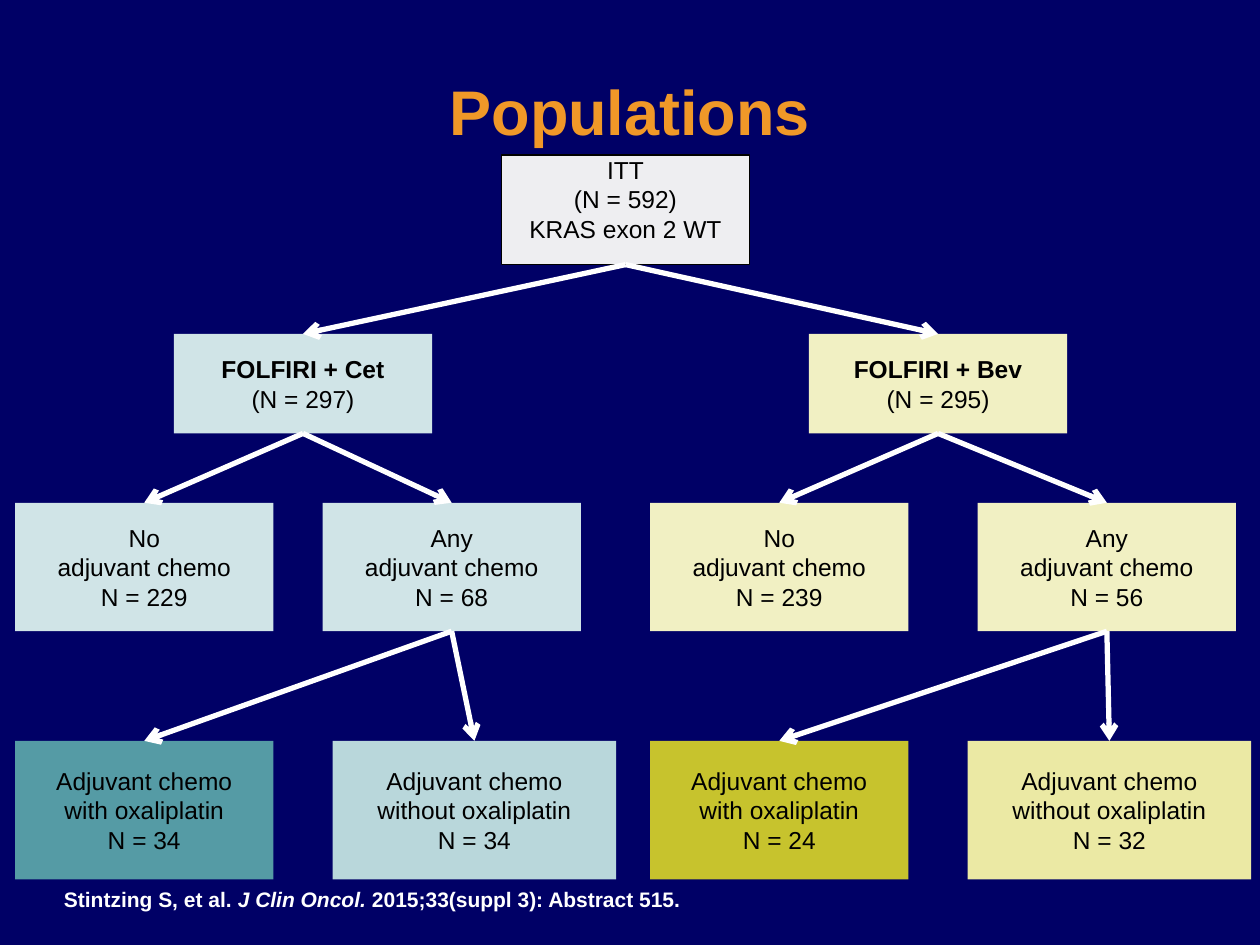
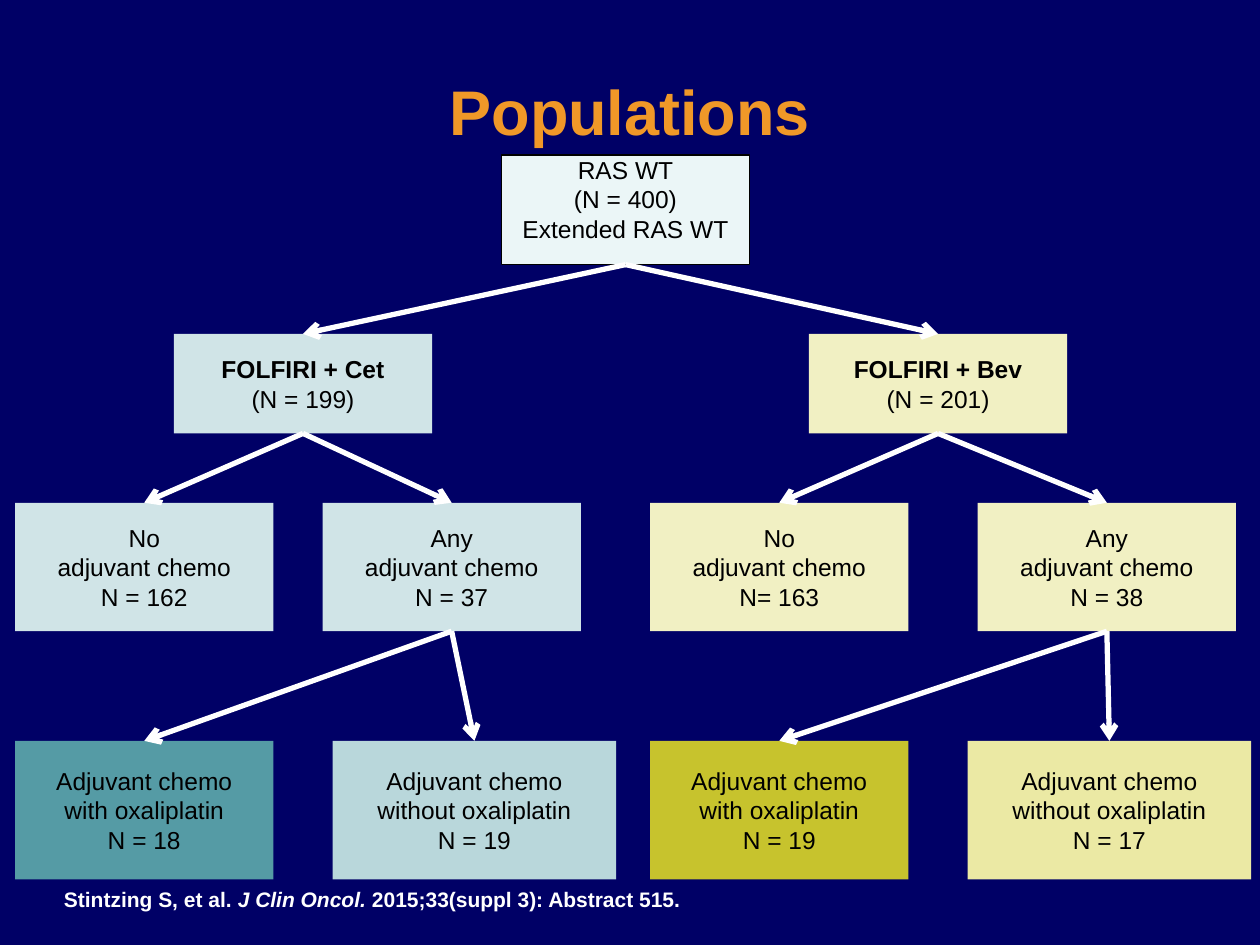
import pptx
import pptx.dml.color
import pptx.enum.shapes
import pptx.enum.text
import pptx.oxml
import pptx.oxml.ns
import pptx.util
from lxml import etree

Inches = pptx.util.Inches
Pt = pptx.util.Pt
ALIGN = pptx.enum.text.PP_ALIGN
ANCHOR = pptx.enum.text.MSO_ANCHOR
AUTO_SIZE = pptx.enum.text.MSO_AUTO_SIZE

COLORS = {
    "background": "000066",
    "title": "F09828",
    "white": "FFFFFF",
    "black": "000000",
    "itt": "EEEEF1",
    "ras": "EBF6F7",
}
ARM_COLORS = {
    "Cet": {"arm": "D0E4E7", "with": "559BA5", "without": "B9D7DB"},
    "Bev": {"arm": "F1F0C3", "with": "C7C32D", "without": "EBE9A4"},
}
FONTS = {
    "title": {"name": "Arial", "size": Pt(36), "bold": True},
    "node": {"name": "Arial", "size": Pt(14), "bold": False},
    "citation": {"name": "Arial", "size": Pt(12), "bold": True},
}
NODE_FRAME = {
    "margin_left": 0, "margin_right": 0, "margin_top": 0, "margin_bottom": 0,
    "word_wrap": False, "vertical_anchor": ANCHOR.MIDDLE,
}
TITLE_FRAME = {
    "vertical_anchor": ANCHOR.MIDDLE, "word_wrap": True,
    "auto_size": AUTO_SIZE.NONE,
}
CITATION_FRAME = {"word_wrap": True, "auto_size": AUTO_SIZE.SHAPE_TO_FIT_TEXT}
TITLE_BOX = (0.37, 0.29, 9.26, 1.25)
ROOT_BOX = (3.98, 1.23, 1.97, 0.87)
CITATION_BOX = (0.41, 6.99, 6.46, 0.3)
BRANCH_TOP = 2.65
BRANCHES = {"Cet": {"left": 0.12, "any_offset": 2.44},
            "Bev": {"left": 5.16, "any_offset": 2.6}}
CITATION = [("Stintzing S, et al. ", False), ("J Clin Oncol. ", True),
            ("2015;33(suppl 3): Abstract 515.", False)]
TITLE_SHADOW = (
    '<a:effectLst %s><a:outerShdw dist="38100" dir="2700000" algn="tl">'
    '<a:srgbClr val="%s"/></a:outerShdw></a:effectLst>'
    % (pptx.oxml.ns.nsdecls("a"), COLORS["black"])
)

POPULATIONS = [
    {
        "root": ["ITT", "(N = 592)", "KRAS exon 2 WT"],
        "root_color": "itt",
        "Cet": ["(N = 297)", "N = 229", "N = 68", "N = 34", "N = 34"],
        "Bev": ["(N = 295)", "N = 239", "N = 56", "N = 24", "N = 32"],
    },
    {
        "root": ["RAS WT", "(N = 400)", "Extended RAS WT"],
        "root_color": "ras",
        "Cet": ["(N = 199)", "N = 162", "N = 37", "N = 18", "N = 19"],
        "Bev": ["(N = 201)", "N= 163", "N = 38", "N = 19", "N = 17"],
    },
]


def rgb(value):
    return pptx.dml.color.RGBColor.from_string(value)


def inches(box):
    return [Inches(length) for length in box]


def set_attributes(target, values):
    for name, value in values.items():
        setattr(target, name, value)


def set_font(font, style, color):
    set_attributes(font, FONTS[style])
    font.color.rgb = rgb(COLORS[color])


def add_title(slide, box):
    title = slide.shapes.title
    set_attributes(title, dict(zip(("left", "top", "width", "height"), inches(box))))
    set_attributes(title.text_frame, TITLE_FRAME)
    paragraph = title.text_frame.paragraphs[0]
    set_attributes(paragraph, {"alignment": ALIGN.CENTER, "line_spacing": 0.9})
    run = paragraph.add_run()
    run.text = "Populations"
    set_font(run.font, "title", "title")
    fill = run._r.rPr.find(pptx.oxml.ns.qn("a:solidFill"))
    fill.addnext(pptx.oxml.parse_xml(TITLE_SHADOW))


def add_node(slide, box, lines, fill, bold_first=False):
    node = slide.shapes.add_shape(
        pptx.enum.shapes.MSO_SHAPE.RECTANGLE, *inches(box))
    node.shadow.inherit = False
    node.fill.solid()
    node.fill.fore_color.rgb = rgb(fill)
    node.line.fill.background()
    frame = node.text_frame
    set_attributes(frame, NODE_FRAME)
    for index, line in enumerate(lines):
        paragraph = frame.add_paragraph() if index else frame.paragraphs[0]
        paragraph.alignment = ALIGN.CENTER
        run = paragraph.add_run()
        run.text = line
        set_font(run.font, "node", "black")
        run.font.bold = bold_first and index == 0
    return node


def add_arrow(slide, parent, child):
    arrow = slide.shapes.add_connector(
        pptx.enum.shapes.MSO_CONNECTOR.STRAIGHT, 0, 0, 0, 0)
    arrow.begin_connect(parent, 2)
    arrow.end_connect(child, 0)
    arrow.line.color.rgb = rgb(COLORS["white"])
    arrow.line.width = Pt(3)
    qn = pptx.oxml.ns.qn
    etree.SubElement(arrow.line._get_or_add_ln(), qn("a:tailEnd"), type="arrow")
    etree.SubElement(arrow._element.spPr, qn("a:effectLst"))


def add_root(slide, box, lines, fill):
    root = add_node(slide, box, lines, fill)
    root.text_frame.vertical_anchor = ANCHOR.TOP
    root.line.color.rgb = rgb(COLORS["black"])
    root.line.width = Pt(0.75)
    return root


def add_branch(slide, left, top, any_offset, drug, counts, root):
    colors = ARM_COLORS[drug]
    arm_n, no_n, any_n, with_n, without_n = counts
    split_top, leaf_top = top + 1.34, top + 3.23
    arm = add_node(slide, (left + 1.26, top, 2.05, 0.79),
                   [f"FOLFIRI + {drug}", arm_n], colors["arm"], bold_first=True)
    no_chemo, any_chemo = [
        add_node(slide, (left + offset, split_top, 2.05, 1.02),
                 [group, "adjuvant chemo", count], colors["arm"])
        for group, offset, count in (("No", 0, no_n), ("Any", any_offset, any_n))
    ]
    with_drug, without_drug = [
        add_node(slide, (left + offset, leaf_top, width, 1.1),
                 ["Adjuvant chemo", f"{group} oxaliplatin", count], colors[group])
        for group, offset, width, count in (
            ("with", 0, 2.05, with_n), ("without", 2.52, 2.25, without_n))
    ]
    for parent, child in ((root, arm), (arm, no_chemo), (arm, any_chemo),
                          (any_chemo, without_drug), (any_chemo, with_drug)):
        add_arrow(slide, parent, child)


def add_citation(slide, box):
    citation = slide.shapes.add_textbox(*inches(box))
    set_attributes(citation.text_frame, CITATION_FRAME)
    paragraph = citation.text_frame.paragraphs[0]
    for text, italic in CITATION:
        run = paragraph.add_run()
        run.text = text
        set_font(run.font, "citation", "white")
        run.font.italic = italic


def add_population_slide(deck, population):
    slide = deck.slides.add_slide(deck.slide_layouts.get_by_name("Title Only"))
    add_title(slide, TITLE_BOX)
    root = add_root(slide, ROOT_BOX, population["root"],
                    COLORS[population["root_color"]])
    for drug, place in BRANCHES.items():
        add_branch(slide, place["left"], BRANCH_TOP, place["any_offset"],
                   drug, population[drug], root)
    add_citation(slide, CITATION_BOX)


def main():
    deck = pptx.Presentation()
    deck.slide_width, deck.slide_height = Inches(10), Inches(7.5)
    background = deck.slide_master.background.fill
    background.solid()
    background.fore_color.rgb = rgb(COLORS["background"])
    for population in POPULATIONS:
        add_population_slide(deck, population)
    deck.save("out.pptx")


if __name__ == "__main__":
    main()
